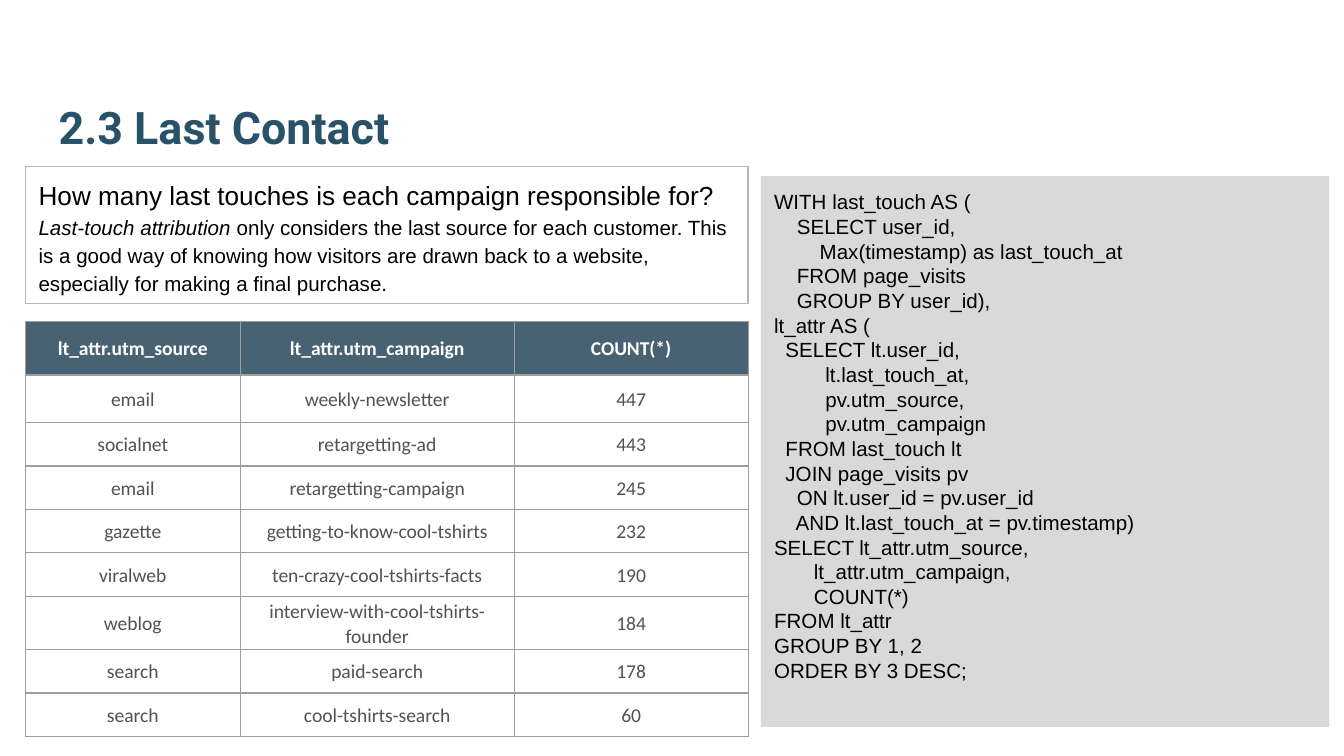
import pptx
import pptx.util
import pptx.dml.color
import pptx.enum.shapes
import pptx.enum.text
import pptx.oxml
import pptx.oxml.ns

Cm = pptx.util.Cm
Pt = pptx.util.Pt
ANCHOR = pptx.enum.text.MSO_ANCHOR
ALIGN = pptx.enum.text.PP_ALIGN

HUES = {
    "title": "295269",
    "ink": "000000",
    "panel": "D9D9D9",
    "frame": "B7B7B7",
    "head": "204056",
    "light": "FFFFFF",
    "body": "525252",
    "grid": "9E9E9E",
}

CODE = """WITH last_touch AS (
    SELECT user_id,
        Max(timestamp) as last_touch_at
    FROM page_visits
    GROUP BY user_id),
lt_attr AS (
  SELECT lt.user_id,
         lt.last_touch_at,
         pv.utm_source,
         pv.utm_campaign
  FROM last_touch lt
  JOIN page_visits pv
    ON lt.user_id = pv.user_id
    AND lt.last_touch_at = pv.timestamp)
SELECT lt_attr.utm_source,
       lt_attr.utm_campaign,
       COUNT(*)
FROM lt_attr
GROUP BY 1, 2
ORDER BY 3 DESC;"""

ROWS = [
    ("lt_attr.utm_source", "lt_attr.utm_campaign", "COUNT(*)"),
    ("email", "weekly-newsletter", "447"),
    ("socialnet", "retargetting-ad", "443"),
    ("email", "retargetting-campaign", "245"),
    ("gazette", "getting-to-know-cool-tshirts", "232"),
    ("viralweb", "ten-crazy-cool-tshirts-facts", "190"),
    ("weblog", "interview-with-cool-tshirts-founder", "184"),
    ("search", "paid-search", "178"),
    ("search", "cool-tshirts-search", "60"),
]
WIDTHS = (4.06, 5.18, 4.42)
HEIGHTS = [1.02, 0.9] + [0.82] * 7


def tint(name):
    return pptx.dml.color.RGBColor.from_string(HUES[name])


def write(para, text, size=11, face="Arial", hue="ink", bold=False, slant=False):
    run = para.add_run()
    run.text = text
    font = run.font
    font.size = Pt(size)
    font.name = face
    font.bold = bold
    font.italic = slant
    font.color.rgb = tint(hue)


def inset(frame, pad, anchor):
    frame.word_wrap = True
    frame.margin_left = frame.margin_right = Cm(pad)
    frame.margin_top = frame.margin_bottom = Cm(pad)
    frame.vertical_anchor = anchor


def panel(slide, box, fill=None, line=None):
    kind = pptx.enum.shapes.MSO_SHAPE.RECTANGLE
    shape = slide.shapes.add_shape(kind, *map(Cm, box))
    shape.shadow.inherit = False
    if fill:
        shape.fill.solid()
        shape.fill.fore_color.rgb = tint(fill)
    else:
        shape.fill.background()
    if line:
        shape.line.color.rgb = tint(line)
        shape.line.width = Pt(0.75)
    else:
        shape.line.fill.background()
    inset(shape.text_frame, 0.25, ANCHOR.TOP)
    shape.text_frame.paragraphs[0].alignment = ALIGN.LEFT
    return shape.text_frame


def title(slide, box):
    frame = slide.shapes.add_textbox(*map(Cm, box)).text_frame
    inset(frame, 0.25, ANCHOR.BOTTOM)
    write(frame.paragraphs[0], "2.3 Last Contact",
          size=24, face="Roboto", hue="title", bold=True)


def query(slide, box):
    frame = panel(slide, box, fill="panel")
    for index, line in enumerate(CODE.split("\n")):
        para = frame.add_paragraph() if index else frame.paragraphs[0]
        para.alignment = ALIGN.LEFT
        write(para, line)


def intro(slide, box):
    frame = panel(slide, box, line="frame")
    write(frame.paragraphs[0],
          "How many last touches is each campaign responsible for?", size=14)
    para = frame.add_paragraph()
    para.alignment = ALIGN.LEFT
    para.line_spacing = 1.15
    write(para, "Last-touch attribution", slant=True)
    write(para, " only considers the last source for each customer. This is a "
                "good way of knowing how visitors are drawn back to a website, "
                "especially for making a final purchase.")


def border(cell):
    props = cell._tc.get_or_add_tcPr()
    space = pptx.oxml.ns.nsdecls("a")
    for index, side in enumerate("LRTB"):
        props.insert(index, pptx.oxml.parse_xml(
            f'<a:ln{side} {space} w="{Pt(0.75)}"><a:solidFill>'
            f'<a:srgbClr val="{HUES["grid"]}"/></a:solidFill></a:ln{side}>'))


def shade(cell, alpha):
    cell.fill.solid()
    cell.fill.fore_color.rgb = tint("head")
    color = cell._tc.tcPr.find(".//" + pptx.oxml.ns.qn("a:srgbClr"))
    space = pptx.oxml.ns.nsdecls("a")
    color.append(pptx.oxml.parse_xml(f'<a:alpha {space} val="{alpha * 1000}"/>'))


def result(slide, box):
    table = slide.shapes.add_table(len(ROWS), len(WIDTHS), *map(Cm, box)).table
    table.horz_banding = False
    table.first_row = False
    for column, width in zip(table.columns, WIDTHS):
        column.width = Cm(width)
    for row, height, values in zip(table.rows, HEIGHTS, ROWS):
        row.height = Cm(height)
        head = values is ROWS[0]
        for cell, value in zip(row.cells, values):
            if head:
                shade(cell, 82)
            else:
                cell.fill.background()
            border(cell)
            inset(cell.text_frame, 0.03, ANCHOR.MIDDLE)
            cell.margin_left = cell.margin_right = Cm(0.03)
            cell.margin_top = cell.margin_bottom = Cm(0.03)
            cell.vertical_anchor = ANCHOR.MIDDLE
            para = cell.text_frame.paragraphs[0]
            para.alignment = ALIGN.CENTER
            para.line_spacing = 1.07
            para.space_after = Pt(8)
            write(para, value, size=10.5, face="Calibri",
                  hue="light" if head else "body", bold=head)


def main():
    deck = pptx.Presentation()
    deck.slide_width = Cm(25.4)
    deck.slide_height = Cm(14.29)
    slide = deck.slides.add_slide(deck.slide_layouts[6])
    title(slide, (0.86, 0.81, 23.67, 2.34))
    query(slide, (14.38, 3.33, 10.74, 10.41))
    intro(slide, (0.48, 3.15, 13.66, 2.59))
    result(slide, (0.48, 6.07, sum(WIDTHS), sum(HEIGHTS)))
    deck.save("out.pptx")


if __name__ == "__main__":
    main()
